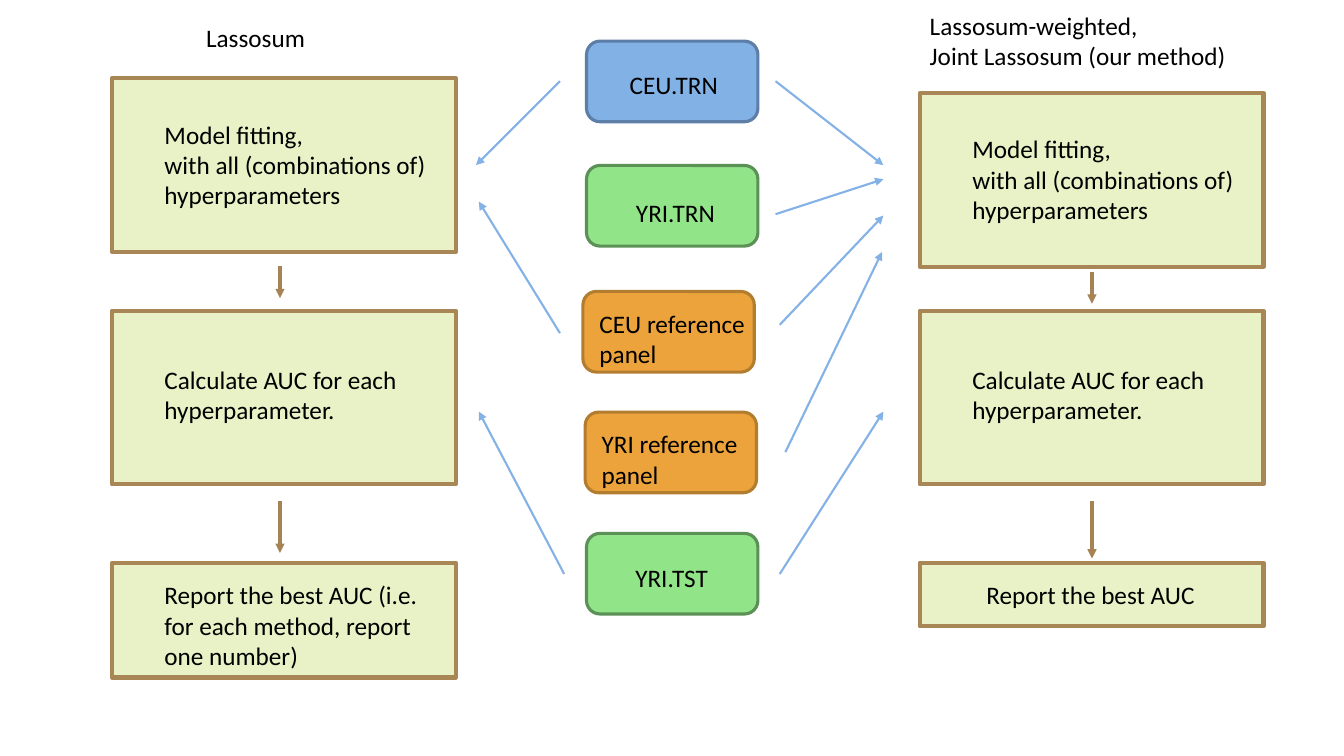
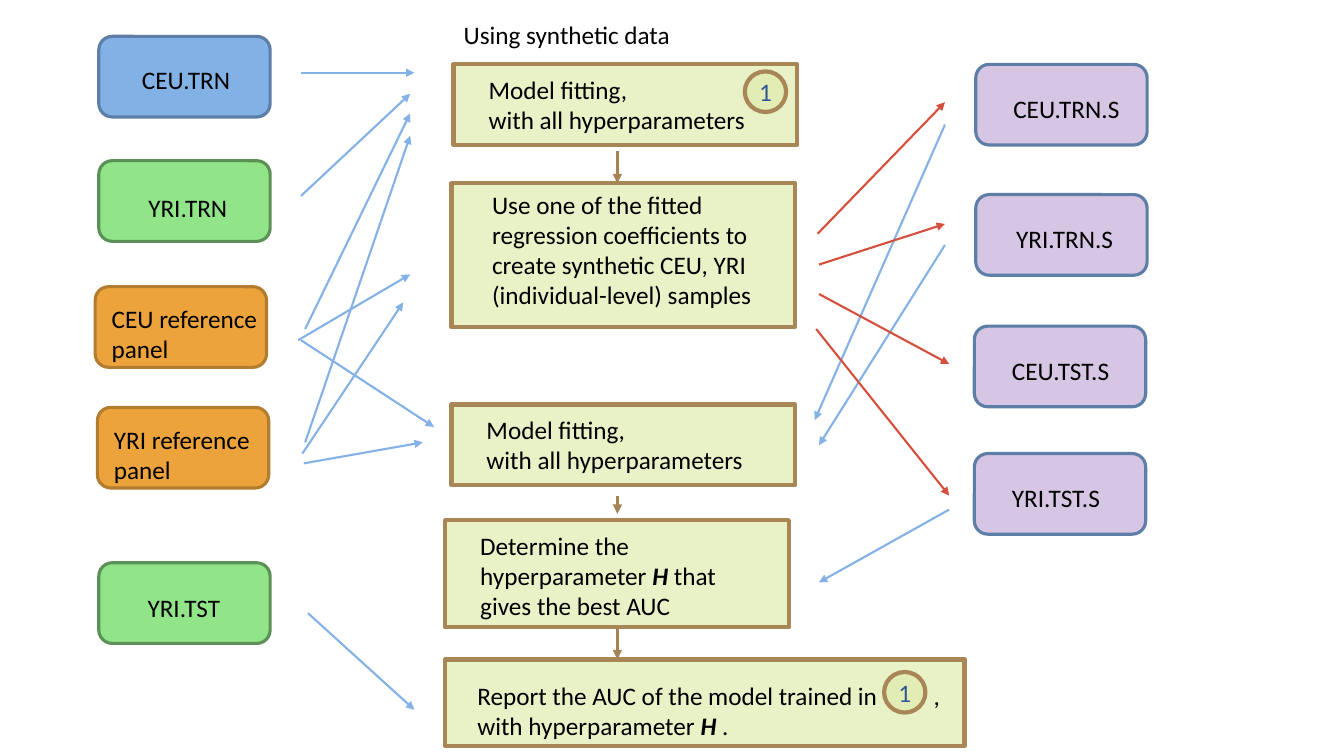
"""Build two slides that compare polygenic model fitting workflows."""
from dataclasses import dataclass

from lxml import etree
from pptx import Presentation, util as u
from pptx.dml import color as dml
from pptx.enum import shapes, text
from pptx.oxml import ns

FONT = "Calibri"
BLACK, BADGE_BLUE = "000000", "2F5597"
NODE_WIDTH, NODE_HEIGHT = 122.4, 57.6
STEP_WIDTH = 245.5


@dataclass(frozen=True)
class Style:
    geometry: shapes.MSO_SHAPE
    fill: str
    opacity: int
    line: str
    line_width: float


@dataclass(frozen=True)
class Box:
    left: float
    top: float
    width: float
    height: float
    style: Style
    lines: tuple[str, ...]
    indent: float
    drop: float
    right: float = 0


@dataclass(frozen=True)
class ArrowStyle:
    color: str
    width: float


@dataclass(frozen=True)
class Arrow:
    start_x: float
    start_y: float
    end_x: float
    end_y: float


ROUNDED = shapes.MSO_SHAPE.ROUNDED_RECTANGLE
CEU = Style(ROUNDED, "307DD5", 60, "5D7EA7", 2.25)
YRI = Style(ROUNDED, "48D539", 60, "5B9157", 2.25)
REFERENCE = Style(ROUNDED, "ECA33C", 100, "B37D30", 2.25)
SYNTHETIC = Style(ROUNDED, "7030A0", 28, "5D7EA7", 2.25)
STEP = Style(shapes.MSO_SHAPE.RECTANGLE, "E0ECAE", 70, "A98656", 3)
BADGE = Style(shapes.MSO_SHAPE.OVAL, "E0ECAE", 70, "A98656", 3)

DATA_FLOW = ArrowStyle("84B1E6", 1.5)
SIMULATION = ArrowStyle("D5503C", 1.5)
STEP_FLOW = ArrowStyle("A68355", 2.25)

COMPARISON_ARROWS = {
    DATA_FLOW: (
        Arrow(400, 58, 340, 118), Arrow(403, 410, 342, 294), Arrow(400, 238, 342, 144),
        Arrow(554, 58, 631, 118), Arrow(554, 153, 631, 128), Arrow(557, 410, 631, 294),
        Arrow(557, 232, 631, 154), Arrow(561, 323, 630, 180),
    ),
    STEP_FLOW: (
        Arrow(200, 190, 200, 213), Arrow(200, 358, 200, 395),
        Arrow(780, 194, 780, 217), Arrow(780, 358, 780, 399),
    ),
}
SYNTHETIC_ARROWS = {
    DATA_FLOW: (
        Arrow(215, 52, 296, 52), Arrow(220, 438, 296, 507), Arrow(215, 140, 293, 67),
        Arrow(218, 235, 293, 81), Arrow(218, 316, 293, 97), Arrow(215, 243, 310, 305),
        Arrow(217, 331, 302, 316), Arrow(675, 89, 582, 300), Arrow(675, 175, 585, 318),
        Arrow(678, 364, 585, 416), Arrow(213, 243, 293, 196), Arrow(216, 324, 288, 216),
    ),
    SIMULATION: (
        Arrow(584, 167, 675, 73), Arrow(585, 189, 675, 160),
        Arrow(585, 210, 678, 260), Arrow(583, 235, 678, 354),
    ),
    STEP_FLOW: (
        Arrow(441, 108, 441, 131), Arrow(441, 354, 441, 367), Arrow(441, 448, 441, 471),
    ),
}


def rgb(value: str) -> dml.RGBColor:
    return dml.RGBColor.from_string(value)


def write_lines(frame, lines: tuple[str, ...], color: str = BLACK,
                alignment=text.PP_ALIGN.LEFT) -> None:
    frame.word_wrap = True
    frame.auto_size = text.MSO_AUTO_SIZE.NONE
    for index, line in enumerate(lines):
        paragraph = frame.add_paragraph() if index else frame.paragraphs[0]
        paragraph.alignment = alignment
        for position, part in enumerate(line.split("*")):
            run = paragraph.add_run()
            run.text = part
            run.font.name = FONT
            run.font.size = u.Pt(18)
            run.font.bold = run.font.italic = position % 2 == 1
            run.font.color.rgb = rgb(color)


def set_margins(frame, left: float, top: float, right: float) -> None:
    frame.margin_left, frame.margin_top = u.Pt(left), u.Pt(top)
    frame.margin_right, frame.margin_bottom = u.Pt(right), u.Pt(0)


def add_styled_shape(slide, style: Style, left: float, top: float,
                     width: float, height: float):
    shape = slide.shapes.add_shape(style.geometry, u.Pt(left), u.Pt(top),
                                   u.Pt(width), u.Pt(height))
    shape.shadow.inherit = False
    shape.fill.solid()
    shape.fill.fore_color.rgb = rgb(style.fill)
    if style.opacity < 100:
        fill_color = shape.element.spPr.find(ns.qn("a:solidFill"))[0]
        etree.SubElement(fill_color, ns.qn("a:alpha"), val=str(style.opacity * 1000))
    shape.line.color.rgb = rgb(style.line)
    shape.line.width = u.Pt(style.line_width)
    return shape


def add_box(slide, box: Box):
    shape = add_styled_shape(slide, box.style, box.left, box.top, box.width, box.height)
    frame = shape.text_frame
    frame.vertical_anchor = text.MSO_ANCHOR.TOP
    set_margins(frame, box.indent, box.drop, box.right)
    write_lines(frame, box.lines)
    return shape


def add_badge(slide, left: float, top: float) -> None:
    shape = add_styled_shape(slide, BADGE, left, top, 29.5, 29)
    shape.text_frame.vertical_anchor = text.MSO_ANCHOR.MIDDLE
    set_margins(shape.text_frame, 0, 0, 0)
    write_lines(shape.text_frame, ("1",), BADGE_BLUE, text.PP_ALIGN.CENTER)


def add_arrows(slide, groups: dict[ArrowStyle, tuple[Arrow, ...]]) -> None:
    for style, arrows in groups.items():
        for arrow in arrows:
            connector = slide.shapes.add_connector(
                shapes.MSO_CONNECTOR.STRAIGHT, u.Pt(arrow.start_x), u.Pt(arrow.start_y),
                u.Pt(arrow.end_x), u.Pt(arrow.end_y))
            connector.line.color.rgb = rgb(style.color)
            connector.line.width = u.Pt(style.width)
            properties = connector.element.spPr
            etree.SubElement(properties.find(ns.qn("a:ln")), ns.qn("a:tailEnd"), type="triangle")
            etree.SubElement(properties, ns.qn("a:effectLst"))


def place_heading(shape, left: float, top: float, width: float, height: float,
                  lines: tuple[str, ...]) -> None:
    shape.left, shape.top = u.Pt(left), u.Pt(top)
    shape.width, shape.height = u.Pt(width), u.Pt(height)
    shape.text_frame.vertical_anchor = text.MSO_ANCHOR.TOP
    set_margins(shape.text_frame, 7.2, 3.6, 7.2)
    write_lines(shape.text_frame, lines)


def add_titled_slide(presentation, left: float, top: float, title: str):
    slide = presentation.slides.add_slide(presentation.slide_layouts[5])
    place_heading(slide.shapes.title, left, top, 292, 29, (title,))
    return slide


def add_sources(slide, left: float, top: float, test_top: float) -> None:
    sources = (
        (left, top, CEU, "CEU.TRN", 28, 17),
        (left, top + 88.8, YRI, "YRI.TRN", 32.5, 20),
        (left - 2.6, top + 178.8, REFERENCE, "CEU reference panel", 9, 9),
        (left - 1, top + 265, REFERENCE, "YRI reference panel", 9, 9),
        (left, test_top, YRI, "YRI.TST", 32, 18),
    )
    for node_left, node_top, style, label, indent, drop in sources:
        add_box(slide, Box(node_left, node_top, NODE_WIDTH, NODE_HEIGHT, style,
                           (label,), indent, drop))


def build_comparison(presentation) -> None:
    slide = add_titled_slide(presentation, 140, 12, "Lassosum")
    heading = slide.shapes.add_textbox(0, 0, 0, 0)
    place_heading(heading, 657, 4, 292, 51,
                  ("Lassosum-weighted,", "Joint Lassosum (our method)"))
    add_sources(slide, 419, 29.4, 381)
    fitting = ("Model fitting,", "with all (combinations of) hyperparameters")
    for left, fitting_top in ((80, 56), (657, 66.5)):
        add_box(slide, Box(left, fitting_top, STEP_WIDTH, 124, STEP, fitting, 37.5, 29, 18))
        add_box(slide, Box(left, 222, STEP_WIDTH, 124, STEP,
                           ("Calculate AUC for each hyperparameter.",), 37.5, 38, 18))
    add_box(slide, Box(80, 402, STEP_WIDTH, 82, STEP,
                       ("Report the best AUC (i.e. for each method, report one number)",),
                       37.5, 12, 18))
    add_box(slide, Box(657, 402, STEP_WIDTH, 45.4, STEP, ("Report the best AUC",), 47.5, 11.5))
    add_arrows(slide, COMPARISON_ARROWS)


def build_synthetic(presentation) -> None:
    slide = add_titled_slide(presentation, 324, 10, "Using synthetic data")
    add_sources(slide, 70.6, 26, 402)
    fitting = ("Model fitting,", "with all hyperparameters")
    steps = (
        Box(324, 46, STEP_WIDTH, NODE_HEIGHT, STEP, fitting, 25, 7, 30),
        Box(322.5, 131, STEP_WIDTH, 102.5, STEP,
            ("Use one of the fitted regression coefficients to create synthetic CEU, YRI "
             "(individual-level) samples",), 29, 4, 27),
        Box(322.5, 289, STEP_WIDTH, NODE_HEIGHT, STEP, fitting, 25, 7, 30),
        Box(318, 371.5, STEP_WIDTH, 76.5, STEP,
            ("Determine the hyperparameter *H* that gives the best AUC",), 25, 7, 30),
    )
    for step in steps:
        add_box(slide, step)
    report = add_box(slide, Box(
        318, 471, 371, 62, STEP,
        ("Report the AUC of the model trained in\t, with hyperparameter *H* .",), 23, 15, 7))
    properties = report.text_frame.paragraphs[0]._p.get_or_add_pPr()
    tabs = etree.SubElement(properties, ns.qn("a:tabLst"))
    etree.SubElement(tabs, ns.qn("a:tab"), pos=str(u.Pt(326)), algn="l")
    add_badge(slide, 532, 51)
    add_badge(slide, 631.5, 480)
    for left, top, label, indent in ((697, 46, "CEU.TRN.S", 24), (697, 139, "YRI.TRN.S", 26),
                                     (696, 233, "CEU.TST.S", 24), (696, 324, "YRI.TST.S", 24)):
        add_box(slide, Box(left, top, NODE_WIDTH, NODE_HEIGHT, SYNTHETIC, (label,), indent, 18))
    add_arrows(slide, SYNTHETIC_ARROWS)


def main() -> None:
    presentation = Presentation()
    presentation.slide_width, presentation.slide_height = u.Pt(960), u.Pt(540)
    build_comparison(presentation)
    build_synthetic(presentation)
    presentation.save("out.pptx")


if __name__ == "__main__":
    main()
